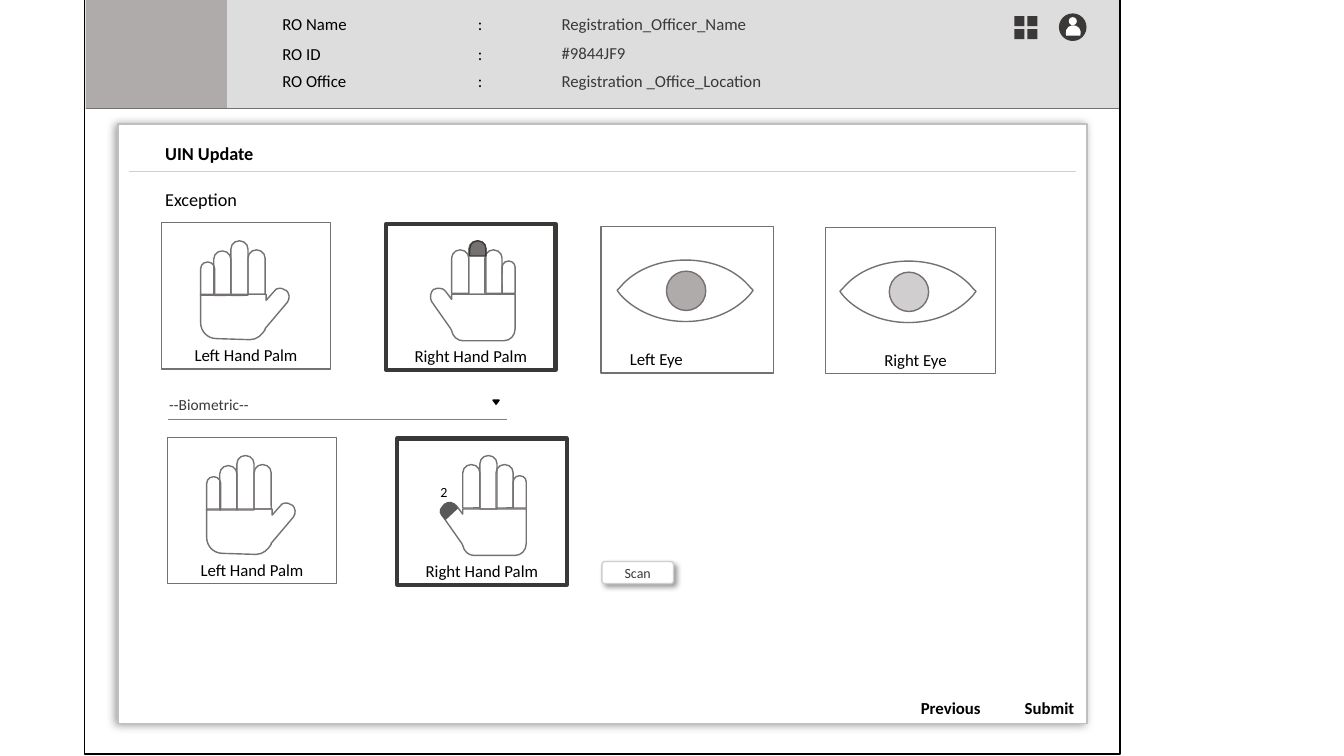
from itertools import product
from lxml import etree
from pptx import Presentation
from pptx.dml.color import RGBColor
from pptx.enum.shapes import MSO_CONNECTOR, MSO_SHAPE as SH
from pptx.enum.text import MSO_ANCHOR, PP_ALIGN as AL
from pptx.oxml.ns import qn
from pptx.util import Inches, Pt

DARK, GREY, SILVER, BLACK, WHITE = "3B3838", "767171", "D0CECE", "000000", "FFFFFF"
LEFT_FINGERS = [(.52, .28, .17, .44), (.69, .18, .17, .54), (.86, .27, .17, .44), (.39, .39, .14, .33)]
RIGHT_FINGERS = [(.65, .26, .17, .43), (.82, .17, .17, .53), (.98, .26, .17, .43), (1.15, .37, .13, .32)]
LEFT_PALM = [(1.17, .65), (1.19, .65, 1.21, .65, 1.23, .67), (1.24, .67),
             (1.27, .7, 1.28, .75, 1.25, .79), (1.03, 1.05), (1.03, 1.06),
             (1, 1.11, .95, 1.16, .88, 1.16), (.55, 1.15),
             (.46, 1.15, .39, 1.08, .39, .99), (.39, .71), (1.04, .71),
             (1.04, .77), (1.12, .68), (1.13, .66, 1.15, .65, 1.17, .65)]
RIGHT_PALM = [(.53, .64), (.55, .64, .58, .65, .59, .67), (.65, .75), (.65, .7),
              (1.28, .7), (1.28, 1.04), (1.28, 1.11, 1.23, 1.16, 1.17, 1.16),
              (.76, 1.16), (.71, 1.16, .66, 1.12, .65, 1.06), (.64, 1.04),
              (.45, .77), (.43, .73, .44, .68, .47, .65), (.48, .65),
              (.49, .64, .51, .64, .53, .64)]
EYE = [(0, -.3), (.27, -.3, .5, -.2, .64, -.03), (.67, 0), (.64, .04),
       (.5, .2, .27, .31, 0, .31), (-.27, .31, -.51, .2, -.65, .04), (-.68, 0),
       (-.65, -.03), (-.51, -.2, -.27, -.3, 0, -.3)]


def rgb(color):
    """Turn a hex string into a colour."""
    return RGBColor.from_string(color)


def paint(sp, fill=None, line=None, width=1):
    """Set fill and line of a shape and drop its shadow."""
    sp.shadow.inherit = False
    if fill:
        sp.fill.solid()
        sp.fill.fore_color.rgb = rgb(fill)
    else:
        sp.fill.background()
    if line:
        sp.line.color.rgb = rgb(line)
        sp.line.width = Pt(width)
    else:
        sp.line.fill.background()
    return sp


def shape(s, kind, box, fill=None, line=None, width=1, adj=(), rot=0):
    """Add a preset shape."""
    sp = paint(s.shapes.add_shape(kind, *map(Inches, box)), fill, line, width)
    for i, value in enumerate(adj):
        sp.adjustments[i] = value
    sp.rotation = rot
    return sp


def shadow(sp, color, alpha, blur, dist, angle):
    """Add an outer shadow to a shape."""
    effects = sp._element.spPr.find(qn("a:effectLst"))
    outer = etree.SubElement(effects, qn("a:outerShdw"), blurRad=str(Pt(blur)),
                             dist=str(Pt(dist)), dir=str(angle * 60000), rotWithShape="0")
    tone = etree.SubElement(outer, qn("a:srgbClr"), val=color)
    etree.SubElement(tone, qn("a:alpha"), val=str(alpha * 1000))


def rule(s, x1, x2, y, color, width):
    """Draw a horizontal line."""
    ln = s.shapes.add_connector(MSO_CONNECTOR.STRAIGHT, *map(Inches, (x1, y, x2, y)))
    ln.line.color.rgb = rgb(color)
    ln.line.width = Pt(width)
    etree.SubElement(ln._element.spPr, qn("a:effectLst"))


def write(tf, text, size=12, color=BLACK, bold=False, align=AL.LEFT):
    """Put one formatted run in a text frame."""
    p = tf.paragraphs[0]
    p.alignment = align
    r = p.add_run()
    r.text = text
    for key, value in {"name": "Calibri", "size": Pt(size), "bold": bold}.items():
        setattr(r.font, key, value)
    r.font.color.rgb = rgb(color)


def label(s, box, text, wrap=True, **fmt):
    """Add a text box."""
    tf = s.shapes.add_textbox(*map(Inches, box)).text_frame
    tf.word_wrap = wrap
    write(tf, text, **fmt)
    return tf


def outline(s, x, y, steps):
    """Draw a closed outline of straight and curved steps around an origin."""
    ends = [(Inches(x + step[-2]), Inches(y + step[-1])) for step in steps]
    fb = s.shapes.build_freeform(*ends[0])
    fb.add_line_segments(ends[1:], close=True)
    sp = paint(fb.convert_to_shape(), line=GREY)
    for line_to, step in zip(list(sp._element.spPr.iter(qn("a:lnTo"))), steps[1:]):
        if len(step) == 6:
            curve = etree.Element(qn("a:cubicBezTo"))
            for px, py in zip(step[::2], step[1::2]):
                etree.SubElement(curve, qn("a:pt"), x=str(Inches(x + px) - sp.left),
                                 y=str(Inches(y + py) - sp.top))
            line_to.getparent().replace(line_to, curve)


def header(s, x, y):
    """Draw the officer header bar."""
    shape(s, SH.RECTANGLE, (x + .01, y + .01, 10.24, 1.09), "DDDDDD")
    shape(s, SH.RECTANGLE, (x, y, 1.4, 1.1), "AFABAB")
    rule(s, x, x + 10.27, y + 1.1, GREY, .5)
    rows = [("RO Name", "Registration_Officer_Name", .11, .11, 2.12),
            ("RO ID", "#9844JF9", .4, .39, .91),
            ("RO Office", "Registration _Office_Location", .67, .67, 2.27)]
    for name, value, name_y, value_y, w in rows:
        name_tf = label(s, (x + 1.79, y + name_y, 2.27, .3), name + "\t\t:", False)
        value_tf = label(s, (x + 4.56, y + value_y, w, .3), value, False, color=DARK)
        for tf in (name_tf, value_tf):
            tf.margin_left = Inches(.16)
        tabs = etree.SubElement(name_tf.paragraphs[0]._p.get_or_add_pPr(), qn("a:tabLst"))
        for stop in (.97, 1.94):
            etree.SubElement(tabs, qn("a:tab"), pos=str(Inches(stop)), algn="l")
    shape(s, SH.OVAL, (x + 9.66, y + .16, .26, .26), DARK, DARK)
    shape(s, SH.OVAL, (x + 9.75, y + .19, .08, .08), WHITE)
    shape(s, SH.CHORD, (x + 9.72, y + .27, .15, .15), WHITE, rot=111.5)
    for row, col in product(range(2), repeat=2):
        shape(s, SH.RECTANGLE, (x + 9.21 + .13 * col, y + .18 + .13 * row, .1, .1), DARK)


def panel(s, x, y):
    """Draw the update panel with its title and actions."""
    card = shape(s, SH.ROUNDED_RECTANGLE, (x, y, 9.61, 5.95), WHITE, "BFBFBF", adj=(0,))
    shadow(card, "808080", 80, 6, 2, 170)
    label(s, (x + .37, y + .13, 2.23, .32), "UIN Update", size=13, bold=True)
    rule(s, x + .11, x + 9.5, y + .47, SILVER, .5)
    label(s, (x + .37, y + .59, 2.23, .32), "Exception", size=13)
    for text, dx, w in (("Previous", 7.86, .8), ("Submit", 8.89, .7)):
        label(s, (x + dx, y + 5.64, w, .3), text, False, bold=True, align=AL.CENTER)


def hand(s, x, y, text, fingers, palm, color=GREY, width=1):
    """Draw a framed hand with its caption."""
    for dx, dy, w, h in fingers:
        shape(s, SH.ROUND_2_SAME_RECTANGLE, (x + dx, y + dy, w, h), line=GREY, adj=(.478, .033))
    outline(s, x, y, palm)
    shape(s, SH.FLOWCHART_PROCESS, (x, y, 1.68, 1.45), line=color, width=width)
    label(s, (x, y + 1.16, 1.68, .3), text, align=AL.CENTER)


def hand_pair(s, x, y, gap):
    """Draw the left hand and the selected right hand."""
    hand(s, x, y, "Left Hand Palm", LEFT_FINGERS, LEFT_PALM)
    hand(s, x + gap, y + .01, "Right Hand Palm", RIGHT_FINGERS, RIGHT_PALM, DARK, 3)


def eye(s, x, y, w, text, middle, text_dx, iris, width):
    """Draw a framed eye with its caption."""
    outline(s, x + middle, y + .63, EYE)
    shape(s, SH.OVAL, (x + middle - .19, y + .44, .39, .39), iris, GREY)
    shape(s, SH.FLOWCHART_PROCESS, (x, y, w, 1.45), line=GREY, width=width)
    label(s, (x + text_dx, y + 1.16, 1.68, .3), text, align=AL.CENTER)


def dropdown(s, x, y):
    """Draw the biometric selector."""
    label(s, (x - .09, y, 1, .29), "--Biometric--", False, size=11, color=DARK)
    shape(s, SH.ISOSCELES_TRIANGLE, (x + 3.22, y + .1, .06, .04), BLACK, BLACK, rot=180)
    rule(s, x, x + 3.36, y + .29, "808080", 1)


def scan_button(s, x, y):
    """Draw the scan button."""
    sp = shape(s, SH.ROUNDED_RECTANGLE, (x, y, .71, .22), WHITE, SILVER, adj=(.135,))
    shadow(sp, BLACK, 40, 4, 3, 45)
    sp.text_frame.vertical_anchor = MSO_ANCHOR.MIDDLE
    write(sp.text_frame, "Scan", size=10, color=DARK, align=AL.CENTER)


def main():
    """Build and save the slide."""
    prs = Presentation()
    prs.slide_width, prs.slide_height = Inches(13.33), Inches(7.5)
    s = prs.slides.add_slide(prs.slide_layouts[6])
    header(s, .85, -.02)
    panel(s, 1.17, 1.23)
    shape(s, SH.RECTANGLE, (.84, -.02, 10.27, 7.5), line=BLACK)
    hand_pair(s, 1.6, 2.21, 2.23)
    shape(s, SH.ROUND_2_SAME_RECTANGLE, (4.66, 2.39, .16, .15), GREY, DARK, adj=(.5, 0))
    eye(s, 5.96, 2.25, 1.71, "Left Eye", .84, -.29, "AFABAB", 1)
    eye(s, 8.19, 2.26, 1.68, "Right Eye", .82, .05, SILVER, .75)
    dropdown(s, 1.67, 3.87)
    hand_pair(s, 1.66, 4.34, 2.28)
    label(s, (4.27, 4.75, .26, .27), "2", size=10)
    shape(s, SH.ROUND_2_SAME_RECTANGLE, (4.36, 5, .16, .11), "595959", "595959", adj=(.5, 0), rot=317.1)
    scan_button(s, 5.97, 5.57)
    prs.save("out.pptx")


if __name__ == "__main__":
    main()
